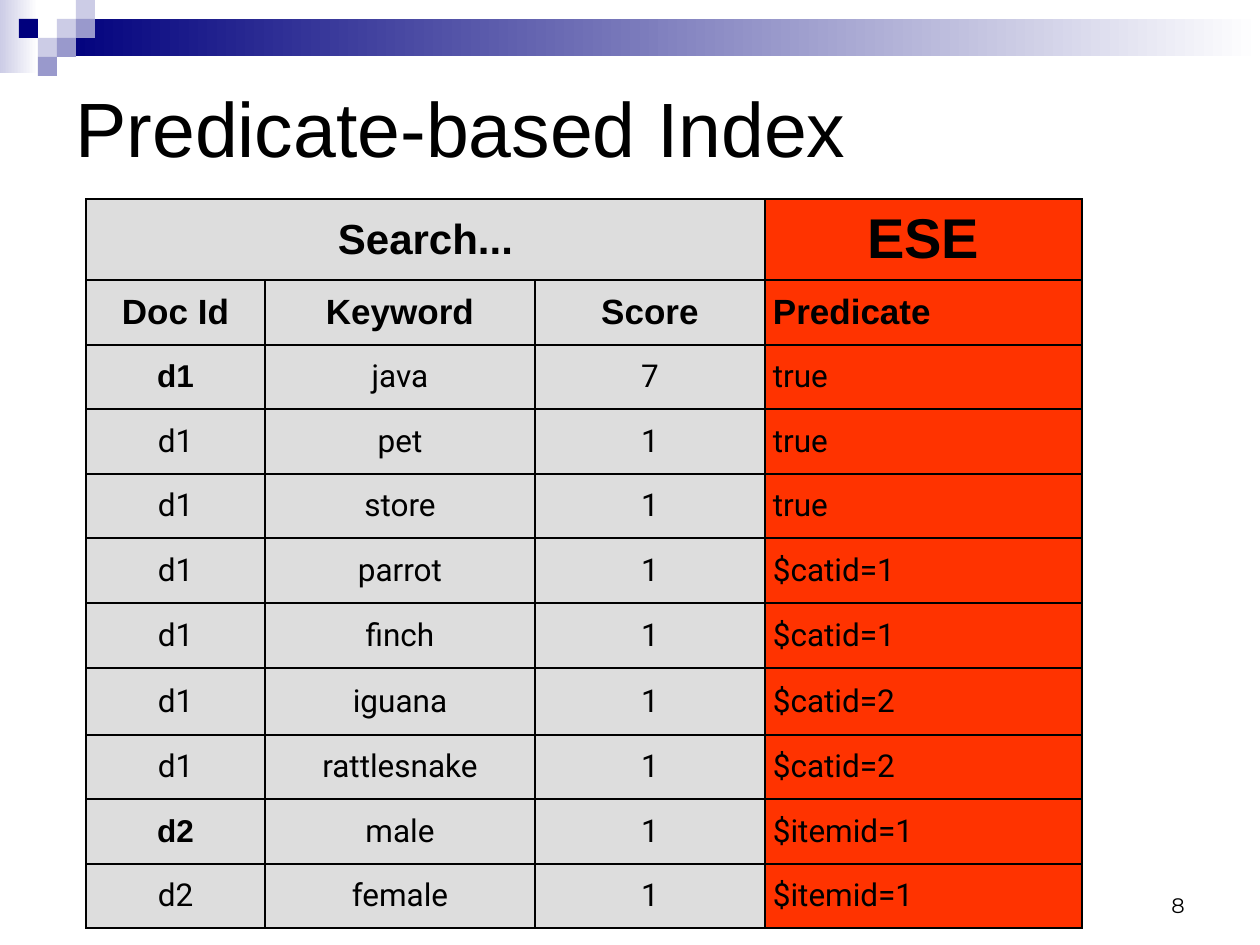
from lxml import etree
from pptx import Presentation
from pptx.dml.color import RGBColor
from pptx.enum.shapes import MSO_SHAPE
from pptx.enum.text import MSO_ANCHOR, PP_ALIGN
from pptx.oxml.ns import qn
from pptx.util import Pt

RECTANGLE = MSO_SHAPE.RECTANGLE
MIDDLE, BOTTOM = MSO_ANCHOR.MIDDLE, MSO_ANCHOR.BOTTOM
LEFT, CENTER, RIGHT = PP_ALIGN.LEFT, PP_ALIGN.CENTER, PP_ALIGN.RIGHT

EMU_PER_PX = 914400 / 126
COLORS = {
    "black": "000000",
    "white": "FFFFFF",
    "navy": "00007D",
    "lavender": "CCCCE6",
    "periwinkle": "9999CC",
    "gray": "DDDDDD",
    "orange": "FF3300",
}
SQUARE = 19
SQUARES = [
    (3, 1, "lavender"), (4, 0, "lavender"), (4, 1, "periwinkle"),
    (2, 2, "lavender"), (1, 1, "navy"), (3, 2, "periwinkle"),
    (2, 3, "periwinkle"),
]
COLUMN_WIDTHS = [179, 270, 230, 317]
ROW_HEIGHTS = [81, 65, 64, 65, 64, 65, 65, 67, 64, 65, 64]
INDEX_ROWS = [
    ("Search...", "", "", "ESE"),
    ("Doc Id", "Keyword", "Score", "Predicate"),
    ("d1", "java", "7", "true"),
    ("d1", "pet", "1", "true"),
    ("d1", "store", "1", "true"),
    ("d1", "parrot", "1", "$catid=1"),
    ("d1", "finch", "1", "$catid=1"),
    ("d1", "iguana", "1", "$catid=2"),
    ("d1", "rattlesnake", "1", "$catid=2"),
    ("d2", "male", "1", "$itemid=1"),
    ("d2", "female", "1", "$itemid=1"),
]
PREDICATE_COLUMN = 3
FIRST_DOCUMENT_ROWS = (2, 9)


def px(length):
    return round(length * EMU_PER_PX)


def color(name):
    return RGBColor.from_string(COLORS[name])


def style_paragraph(paragraph, text, size, font_name, alignment=LEFT, bold=False):
    paragraph.text = text
    paragraph.alignment = alignment
    font = paragraph.font
    font.size = Pt(size)
    font.name = font_name
    font.bold = bold
    font.color.rgb = color("black")


def add_rectangle(slide, box, fill_name, fades=False):
    shape = slide.shapes.add_shape(RECTANGLE, *map(px, box))
    shape.shadow.inherit = False
    shape.line.fill.background()
    if fades:
        shape.fill.gradient()
        shape.fill.gradient_angle = 0
        for stop, name in zip(shape.fill.gradient_stops, (fill_name, "white")):
            stop.color.rgb = color(name)
    else:
        shape.fill.solid()
        shape.fill.fore_color.rgb = color(fill_name)


def add_banner(slide, box):
    left, top, width, height = box
    bar_left = 3 * SQUARE
    add_rectangle(slide, (left, top, 2 * SQUARE, height - 3), "lavender", fades=True)
    add_rectangle(
        slide,
        (left + bar_left, top + SQUARE, width - bar_left, 2 * SQUARE - 1),
        "navy",
        fades=True,
    )
    for column, row, fill_name in SQUARES:
        position = (left + column * SQUARE, top + row * SQUARE)
        add_rectangle(slide, (*position, SQUARE, SQUARE), fill_name)


def add_text(slide, box, text, size, font_name, anchor, alignment):
    frame = slide.shapes.add_textbox(*map(px, box)).text_frame
    frame.word_wrap = True
    frame.vertical_anchor = anchor
    style_paragraph(frame.paragraphs[0], text, size, font_name, alignment)


def add_borders(cell):
    properties = cell._tc.get_or_add_tcPr()
    for side in ("a:lnL", "a:lnR", "a:lnT", "a:lnB"):
        line = etree.SubElement(properties, qn(side), w=str(Pt(0.96)))
        fill = etree.SubElement(line, qn("a:solidFill"))
        etree.SubElement(fill, qn("a:srgbClr"), val=COLORS["black"])


def cell_font(row, column):
    if row == 0:
        return (32 if column == PREDICATE_COLUMN else 24), "Arial", True
    if row == 1:
        return 20, "Arial", True
    if column == 0 and row in FIRST_DOCUMENT_ROWS:
        return 18, "Arial", True
    return 18, "Roboto", False


def fill_cell(cell, row, column, text):
    is_predicate = column == PREDICATE_COLUMN
    add_borders(cell)
    cell.fill.solid()
    cell.fill.fore_color.rgb = color("orange" if is_predicate else "gray")
    cell.vertical_anchor = MIDDLE
    cell.margin_left = cell.margin_right = px(8)
    cell.margin_top = cell.margin_bottom = px(6)
    size, font_name, bold = cell_font(row, column)
    alignment = LEFT if is_predicate and row > 0 else CENTER
    paragraph = cell.text_frame.paragraphs[0]
    style_paragraph(paragraph, text, size, font_name, alignment, bold)


def add_index_table(slide, box):
    table = slide.shapes.add_table(
        len(INDEX_ROWS), len(COLUMN_WIDTHS), *map(px, box)
    ).table
    table.first_row = False
    table.horz_banding = False
    for column, width in zip(table.columns, COLUMN_WIDTHS):
        column.width = px(width)
    for row, height in zip(table.rows, ROW_HEIGHTS):
        row.height = px(height)
    for row, texts in enumerate(INDEX_ROWS):
        for column, text in enumerate(texts):
            fill_cell(table.cell(row, column), row, column, text)
    table.cell(0, 0).merge(table.cell(0, PREDICATE_COLUMN - 1))


def main():
    presentation = Presentation()
    presentation.slide_width = px(1260)
    presentation.slide_height = px(945)
    slide = presentation.slides.add_slide(presentation.slide_layouts[6])
    add_banner(slide, (0, 0, 1260, 76))
    add_text(slide, (63, 32, 1134, 189), "Predicate-based Index", 44, "Arial", MIDDLE, LEFT)
    add_index_table(slide, (86, 199, sum(COLUMN_WIDTHS), sum(ROW_HEIGHTS)))
    add_text(slide, (903, 861, 294, 63), "8", 12, "Montserrat", BOTTOM, RIGHT)
    presentation.save("out.pptx")


if __name__ == "__main__":
    main()
